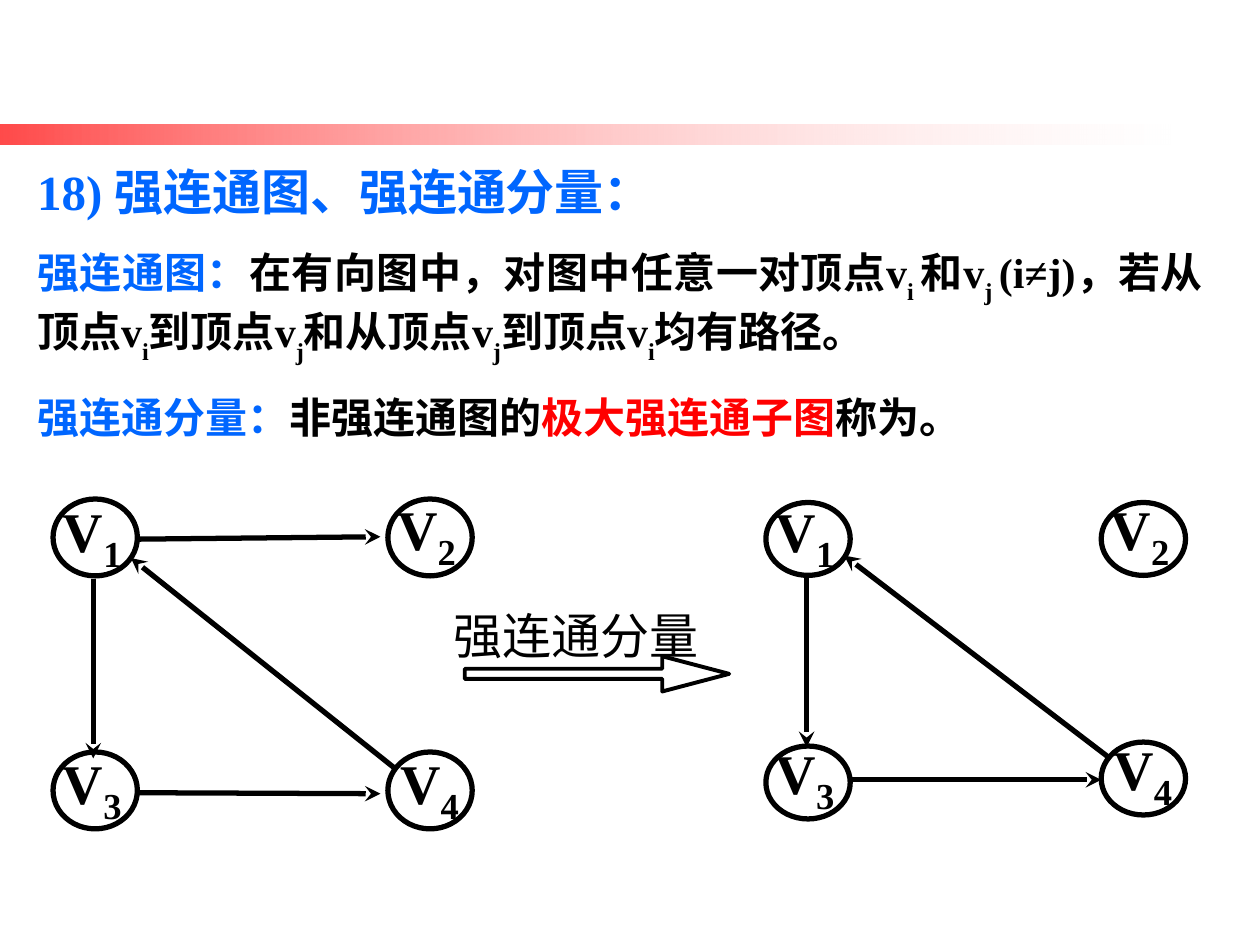
from dataclasses import dataclass

from lxml import etree
from pptx import Presentation
from pptx.dml.color import RGBColor
from pptx.enum.shapes import MSO_CONNECTOR, MSO_SHAPE
from pptx.enum.text import PP_ALIGN
from pptx.oxml.ns import qn
from pptx.util import Cm, Pt

STRAIGHT = MSO_CONNECTOR.STRAIGHT
RECTANGLE, OVAL, RIGHT_ARROW = MSO_SHAPE.RECTANGLE, MSO_SHAPE.OVAL, MSO_SHAPE.RIGHT_ARROW
CENTER, JUSTIFY = PP_ALIGN.CENTER, PP_ALIGN.JUSTIFY


@dataclass(frozen=True)
class Theme:
    blue: RGBColor = RGBColor(0x00, 0x66, 0xFF)
    red: RGBColor = RGBColor(0xFF, 0x00, 0x00)
    black: RGBColor = RGBColor(0x00, 0x00, 0x00)
    white: RGBColor = RGBColor(0xFF, 0xFF, 0xFF)
    latin: str = "Times New Roman"
    chinese: str = "Noto Sans CJK SC"
    heading: float = 28
    body: float = 24
    node: float = 32
    node_index: float = 36
    edge_width: float = 3
    arrow_width: float = 2.25


THEME = Theme()


@dataclass(frozen=True)
class Node:
    """A vertex: its circle's corner and its label's corner, in cm."""
    index: str
    left: float
    top: float
    label_left: float
    label_top: float


@dataclass(frozen=True)
class Edge:
    """A directed edge between two points, in cm."""
    start: tuple[float, float]
    end: tuple[float, float]


@dataclass(frozen=True)
class Graph:
    circle_height: float
    label_height: float
    nodes: tuple[Node, ...]
    edges: tuple[Edge, ...]


CIRCLE_WIDTH, LABEL_WIDTH = 1.7, 1.45

DIRECTED_GRAPH = Graph(
    1.55, 1.83,
    (Node("4", 7.82, 15.16, 7.92, 14.86),
     Node("3", 1.07, 15.16, 1.12, 14.86),
     Node("2", 7.82, 10.06, 7.86, 9.74),
     Node("1", 1.07, 10.06, 1.12, 9.78)),
    (Edge((2.74, 10.87), (7.67, 10.82)),
     Edge((1.88, 11.68), (1.88, 15.29)),
     Edge((2.74, 15.98), (7.67, 16)),
     Edge((8, 15.52), (2.64, 11.25))),
)
COMPONENTS = Graph(
    1.47, 1.75,
    (Node("4", 22.2, 14.96, 22.3, 14.58),
     Node("3", 15.44, 15.04, 15.49, 14.66),
     Node("2", 22.2, 10.13, 22.24, 9.74),
     Node("1", 15.44, 10.13, 15.49, 9.78)),
    (Edge((16.26, 11.61), (16.26, 15.06)),
     Edge((17.12, 15.72), (22.2, 15.72)),
     Edge((22.38, 15.29), (17.02, 11.2))),
)


def add_span(para, text: str, *, size: float, color: RGBColor = THEME.black,
             bold: bool = True, latin: str = THEME.latin, baseline: int = 0) -> None:
    """Append a run; baseline is a percentage, negative for a subscript."""
    span = para.add_run()
    span.text = text
    span.font.size = Pt(size)
    span.font.bold = bold
    span.font.color.rgb = color
    span.font.name = latin
    properties = span.font._element
    etree.SubElement(properties, qn("a:ea")).set("typeface", THEME.chinese)
    if baseline:
        properties.set("baseline", str(baseline * 1000))


def add_text_frame(page, left: float, top: float, width: float, height: float,
                   margins: tuple[float, float, float, float] = (0.25, 0.13, 0.25, 0.13)):
    box = page.shapes.add_textbox(Cm(left), Cm(top), Cm(width), Cm(height))
    frame = box.text_frame
    frame.word_wrap = True
    (frame.margin_left, frame.margin_top,
     frame.margin_right, frame.margin_bottom) = map(Cm, margins)
    return frame


def format_para(para, space_before: float):
    para.alignment = JUSTIFY
    para.space_before = Pt(space_before)
    return para


def add_outline(page, kind, left: float, top: float, width: float, height: float,
                line_width: float):
    """Add an unfilled shape with a black outline."""
    shape = page.shapes.add_shape(kind, Cm(left), Cm(top), Cm(width), Cm(height))
    shape.shadow.inherit = False
    shape.fill.background()
    shape.line.color.rgb = THEME.black
    shape.line.width = Pt(line_width)
    return shape


def add_edge(page, edge: Edge) -> None:
    connector = page.shapes.add_connector(
        STRAIGHT, *(Cm(value) for value in edge.start + edge.end))
    connector.line.color.rgb = THEME.black
    connector.line.width = Pt(THEME.edge_width)
    etree.SubElement(connector.line._get_or_add_ln(), qn("a:tailEnd")).set("type", "stealth")
    etree.SubElement(connector._element.spPr, qn("a:effectLst"))


def add_graph(page, graph: Graph) -> None:
    for node in graph.nodes:
        frame = add_text_frame(page, node.label_left, node.label_top, LABEL_WIDTH,
                               graph.label_height, margins=(0.03, 0.08, 0, 0.03))
        para = frame.paragraphs[0]
        para.alignment = CENTER
        add_span(para, "V", size=THEME.node)
        add_span(para, node.index, size=THEME.node_index, baseline=-25)
        add_outline(page, OVAL, node.left, node.top, CIRCLE_WIDTH,
                    graph.circle_height, THEME.edge_width)
    for edge in graph.edges:
        add_edge(page, edge)


def add_gradient_bar(page) -> None:
    bar = page.shapes.add_shape(RECTANGLE, Cm(0), Cm(2.51), Cm(23.6), Cm(0.41))
    bar.shadow.inherit = False
    bar.line.fill.background()
    bar.fill.gradient()
    bar.fill.gradient_angle = 180
    stops = ((0, THEME.white, 18), (1, THEME.red, 71))
    for stop, (position, color, opacity) in zip(bar.fill.gradient_stops, stops):
        stop.position = position
        stop.color.rgb = color
        color_element = stop._gs.find(qn("a:srgbClr"))
        etree.SubElement(color_element, qn("a:alpha")).set("val", str(opacity * 1000))


def add_definitions(page) -> None:
    frame = add_text_frame(page, 0.5, 3.12, 24, 5.92)
    heading = format_para(frame.paragraphs[0], 17.5)
    add_span(heading, "18) 强连通图、强连通分量：", size=THEME.heading, color=THEME.blue)

    graph_para = format_para(frame.add_paragraph(), 15)
    add_span(graph_para, "强连通图：", size=THEME.body, color=THEME.blue)
    pieces = (("在有向图中，对图中任意一对顶点v", "i "), ("和v", "j "),
              ("(i≠j)，若从顶点v", "i"), ("到顶点v", "j"), ("和从顶点v", "j"),
              ("到顶点v", "i"), ("均有路径。", ""))
    for text, subscript in pieces:
        add_span(graph_para, text, size=THEME.body)
        if subscript:
            add_span(graph_para, subscript, size=THEME.body, baseline=-30)

    component_para = format_para(frame.add_paragraph(), 15)
    add_span(component_para, "强连通分量：", size=THEME.body, color=THEME.blue)
    add_span(component_para, "非强连通图", size=THEME.body)
    for text, color in (("的", THEME.black), ("极大强连通子图", THEME.red),
                        ("称为。", THEME.black)):
        add_span(component_para, text, size=THEME.body, color=color, latin=THEME.chinese)


def add_transition(page) -> None:
    """Draw the block arrow between the two graphs and its caption."""
    arrow = add_outline(page, RIGHT_ARROW, 9.37, 13.23, 5.33, 0.71, THEME.arrow_width)
    arrow.adjustments[0] = 0.29
    arrow.adjustments[1] = 1.9
    frame = add_text_frame(page, 8.89, 12.07, 5.56, 1.45)
    caption = format_para(frame.paragraphs[0], 17.5)
    add_span(caption, "强连通分量", size=THEME.heading, bold=False)


def main() -> None:
    deck = Presentation()
    deck.slide_width, deck.slide_height = Cm(25.4), Cm(19.05)
    page = deck.slides.add_slide(deck.slide_layouts[6])
    add_gradient_bar(page)
    add_definitions(page)
    add_graph(page, DIRECTED_GRAPH)
    add_graph(page, COMPONENTS)
    add_transition(page)
    deck.save("out.pptx")


if __name__ == "__main__":
    main()
